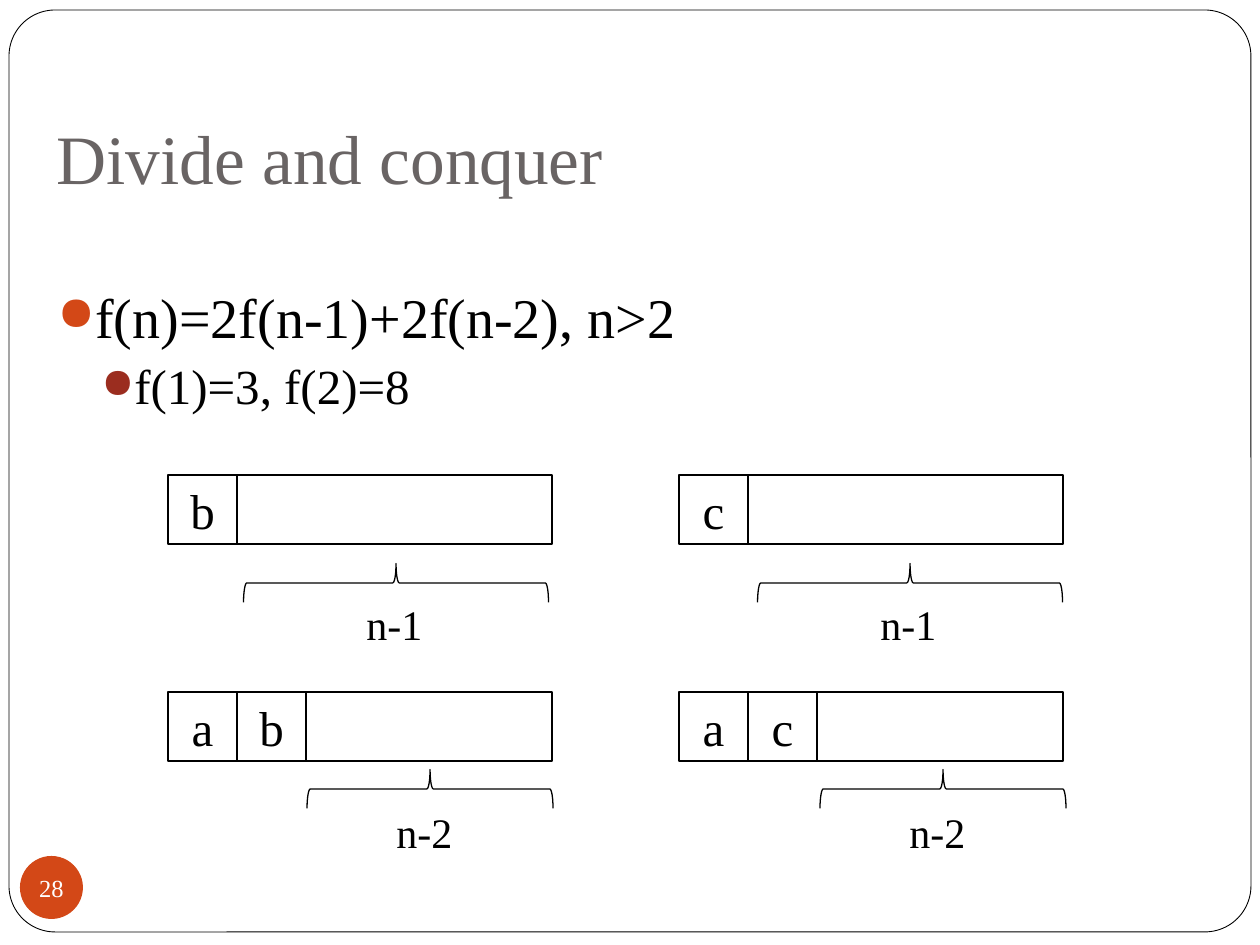
from lxml import etree
from pptx import Presentation
from pptx.dml.color import RGBColor
from pptx.enum.shapes import MSO_SHAPE
from pptx.enum.text import MSO_ANCHOR, MSO_AUTO_SIZE, PP_ALIGN
from pptx.oxml.ns import qn
from pptx.util import Pt

RECT, ROUND = MSO_SHAPE.RECTANGLE, MSO_SHAPE.ROUNDED_RECTANGLE
OVAL, BRACE = MSO_SHAPE.OVAL, MSO_SHAPE.LEFT_BRACE
MID, NOFIT = MSO_ANCHOR.MIDDLE, MSO_AUTO_SIZE.NONE
LEFT, CENTER = PP_ALIGN.LEFT, PP_ALIGN.CENTER

FONT = "Times New Roman"
COLORS = {"ink": "000000", "paper": "FFFFFF", "title": "696464",
          "orange": "D34817", "red": "9B2D1F"}
TITLE = "Divide and conquer"
NUMBER = "28"
BULLETS = [
    {"text": "f(n)=2f(n-1)+2f(n-2), n>2", "size": 32, "left": 38, "hang": 38,
     "before": 5.8, "color": "orange"},
    {"text": "f(1)=3, f(2)=8", "size": 28, "left": 76, "hang": 32,
     "before": 3.7, "color": "red"},
]
COLS = [168, 679]
ROWS = [
    {"top": 475, "words": ["b", "c"], "label": "n-1", "span": 305,
     "mids": [396, 910], "axis": 583, "shift": -42, "drop": 9},
    {"top": 692, "words": ["ab", "ac"], "label": "n-2", "span": 246,
     "mids": [430, 943], "axis": 789, "shift": -46, "drop": 11},
]
CELL, BAR, DEPTH = 69, 315, 39


def px(n):
    return round(n * 914400 / 126)


def rgb(name):
    return RGBColor.from_string(COLORS[name])


def style(para, size, color="ink", align=LEFT):
    para.alignment = align
    for run in para.runs:
        run.font.size = Pt(size)
        run.font.name = FONT
        run.font.color.rgb = rgb(color)


def place(shape, *box):
    shape.left, shape.top, shape.width, shape.height = map(px, box)


def draw(slide, kind, box, fill=None, line=None):
    shape = slide.shapes.add_shape(kind, *map(px, box))
    shape.shadow.inherit = False
    if fill:
        shape.fill.solid()
        shape.fill.fore_color.rgb = rgb(fill)
    else:
        shape.fill.background()
    if line:
        shape.line.color.rgb = rgb("ink")
        shape.line.width = Pt(line)
    else:
        shape.line.fill.background()
    return shape


def write(shape, text, size, color="ink"):
    frame = shape.text_frame
    frame.word_wrap = False
    frame.text = text
    style(frame.paragraphs[0], size, color, CENTER)
    return frame


def bullet(para, item):
    para.text = item["text"]
    style(para, item["size"])
    para.space_before = Pt(item["before"])
    props = para._p.get_or_add_pPr()
    props.set("marL", str(px(item["left"])))
    props.set("indent", str(-px(item["hang"])))
    tint = etree.SubElement(props, qn("a:buClr"))
    etree.SubElement(tint, qn("a:srgbClr"), val=COLORS[item["color"]])
    etree.SubElement(props, qn("a:buSzPct"), val="85000")
    etree.SubElement(props, qn("a:buChar"), char="●")


def add_text(slide):
    title = slide.shapes.title
    place(title, 44, 108, 1191, 105)
    frame = title.text_frame
    frame.text = TITLE
    frame.auto_size = NOFIT
    frame.vertical_anchor = MID
    frame.margin_bottom = px(13)
    style(frame.paragraphs[0], 39.6, "title")

    body = slide.shapes.add_textbox(*map(px, (45, 276, 1131, 567)))
    frame = body.text_frame
    frame.word_wrap = True
    for i, item in enumerate(BULLETS):
        bullet(frame.add_paragraph() if i else frame.paragraphs[0], item)


def add_row(slide, row):
    for left, word, mid in zip(COLS, row["words"], row["mids"]):
        top, axis, span = row["top"], row["axis"], row["span"]
        draw(slide, RECT, (left + CELL, top, BAR, CELL), "paper", 1)
        for i, char in enumerate(word):
            cell = draw(slide, RECT, (left + i * CELL, top, CELL, CELL), "paper", 1)
            write(cell, char, 28)
        box = (mid - DEPTH / 2, axis - span / 2, DEPTH, span)
        brace = draw(slide, BRACE, box, line=0.75)
        brace.rotation = 90
        spot = (mid + row["shift"], axis + row["drop"], 98, 64)
        label = slide.shapes.add_textbox(*map(px, spot))
        label.text_frame.word_wrap = True
        label.text_frame.text = row["label"]
        style(label.text_frame.paragraphs[0], 24)


def main():
    deck = Presentation()
    deck.slide_width, deck.slide_height = px(1260), px(945)
    slide = deck.slides.add_slide(deck.slide_layouts[5])
    frame = draw(slide, ROUND, (9, 10, 1242, 922), "paper", 0.5)
    frame.adjustments[0] = 0.05
    tree = slide.shapes._spTree
    tree.remove(frame._element)
    tree.insert(2, frame._element)
    add_text(slide)
    for row in ROWS:
        add_row(slide, row)
    badge = draw(slide, OVAL, (20, 856, 63, 63), "orange")
    text = write(badge, NUMBER, 14, "paper")
    text.margin_left = text.margin_right = text.margin_top = text.margin_bottom = 0
    deck.save("out.pptx")


if __name__ == "__main__":
    main()
